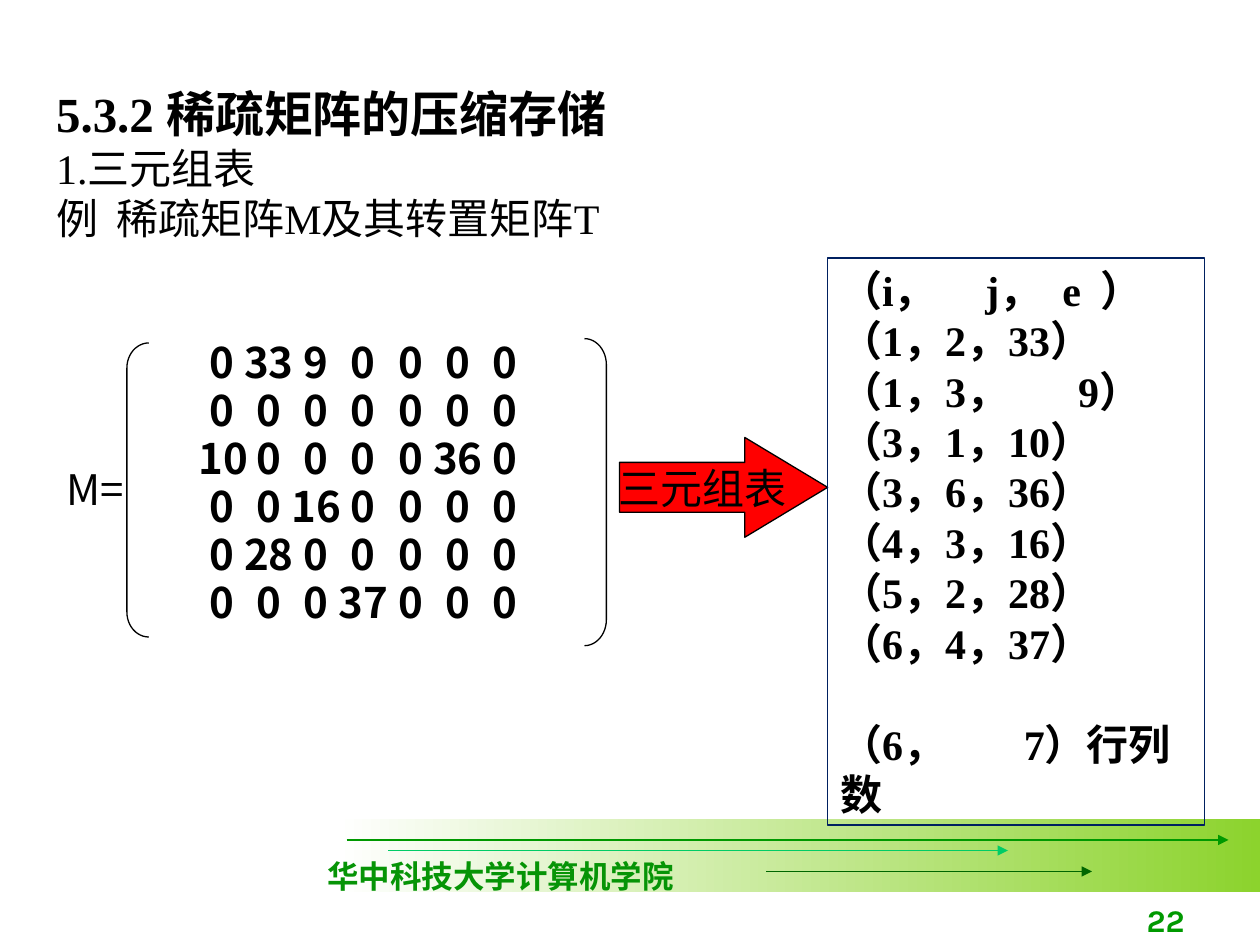
from dataclasses import dataclass
from typing import Any

from lxml import etree
from pptx import Presentation
from pptx import util as u
from pptx.dml.color import RGBColor
from pptx.enum import shapes, text
from pptx.oxml.ns import qn

BLACK = RGBColor(0, 0, 0)
WHITE = RGBColor(255, 255, 255)
RED = RGBColor(255, 0, 0)
NAVY = RGBColor(0x00, 0x20, 0x60)
LIME = RGBColor(0x8C, 0xD3, 0x2D)
GREEN = RGBColor(0x00, 0x99, 0x00)
MINT = RGBColor(0x00, 0xCC, 0x66)
FOREST = RGBColor(0x00, 0x66, 0x00)
SCHOOL_GREEN = RGBColor(0x06, 0x94, 0x06)

SERIF = "Times New Roman"
SANS = "Noto Sans CJK SC"
DISPLAY = "Karla"

MATRIX = [
    [0, 33, 9, 0, 0, 0, 0],
    [0, 0, 0, 0, 0, 0, 0],
    [10, 0, 0, 0, 0, 36, 0],
    [0, 0, 16, 0, 0, 0, 0],
    [0, 28, 0, 0, 0, 0, 0],
    [0, 0, 0, 37, 0, 0, 0],
]
MATRIX_STOPS = [(13 + 27 * column, "ctr") for column in range(7)]


def write(frame, content, size=24, font=SERIF, color=BLACK, bold=False,
          align=text.PP_ALIGN.LEFT, stops=(), spacing=None, before=None):
    first = frame.paragraphs[0]
    para = frame.add_paragraph() if first.runs else first
    para.alignment = align
    if spacing:
        para.line_spacing = spacing
    if before:
        para.space_before = u.Pt(before)
    if stops:
        tabs = etree.SubElement(para._p.get_or_add_pPr(), qn("a:tabLst"))
        for position, kind in stops:
            etree.SubElement(tabs, qn("a:tab"), pos=str(u.Pt(position)), algn=kind)
    span = para.add_run()
    span.text = content
    span.font.size = u.Pt(size)
    span.font.bold = bold
    span.font.name = font
    span.font.color.rgb = color
    etree.SubElement(span.font._element, qn("a:ea"), typeface=SANS)


@dataclass
class Painter:
    slide: Any
    line_width: float = 0.75

    def box(self, left, top, width, height, wrap=True):
        frame = self.slide.shapes.add_textbox(
            u.Pt(left), u.Pt(top), u.Pt(width), u.Pt(height)).text_frame
        frame.word_wrap = wrap
        return frame

    def shape(self, kind, left, top, width, height, fill=None, line=None, adjust=()):
        shape = self.slide.shapes.add_shape(
            kind, u.Pt(left), u.Pt(top), u.Pt(width), u.Pt(height))
        shape.shadow.inherit = False
        for index, value in enumerate(adjust):
            shape.adjustments[index] = value
        if fill is None:
            shape.fill.background()
        else:
            shape.fill.solid()
            shape.fill.fore_color.rgb = fill
        if line is None:
            shape.line.fill.background()
        else:
            shape.line.color.rgb = line
            shape.line.width = u.Pt(self.line_width)
        return shape

    def band(self, left, top, width, height, start, end):
        fill = self.shape(shapes.MSO_SHAPE.RECTANGLE, left, top, width, height).fill
        fill.gradient()
        fill.gradient_angle = 0
        for stop, color, position in zip(fill.gradient_stops, (start, end), (0, 1)):
            stop.color.rgb = color
            stop.position = position

    def arrow(self, left, right, level, color):
        line = self.slide.shapes.add_connector(
            shapes.MSO_CONNECTOR.STRAIGHT,
            u.Pt(left), u.Pt(level), u.Pt(right), u.Pt(level))
        line.line.color.rgb = color
        line.line.width = u.Pt(self.line_width)
        etree.SubElement(line.line._get_or_add_ln(), qn("a:tailEnd"), type="triangle")
        etree.SubElement(line._element.spPr, qn("a:effectLst"))


def draw_footer(painter):
    painter.band(192, 468, 528, 42, WHITE, LIME)
    painter.arrow(198, 702, 480, GREEN)
    painter.arrow(222, 576, 486, MINT)
    painter.arrow(438, 624, 498, FOREST)
    write(painter.box(180, 486, 212.5, 29, wrap=False), "华中科技大学计算机学院",
          size=18, color=SCHOOL_GREEN, bold=True)
    number = painter.box(534, 504, 150, 36)
    number.vertical_anchor = text.MSO_ANCHOR.BOTTOM
    write(number, "22", size=18, font=DISPLAY, color=GREEN, bold=True,
          align=text.PP_ALIGN.RIGHT)


def draw_heading(painter):
    heading = painter.box(25, 44, 368.5, 98.5)
    write(heading, "5.3.2 稀疏矩阵的压缩存储", size=28, bold=True)
    write(heading, "1.三元组表")
    write(heading, "例\t稀疏矩阵M及其转置矩阵T", stops=[(34.5, "l")])


def draw_matrix(painter):
    grid = painter.box(106.5, 191, 206.5, 171)
    for row in MATRIX:
        write(grid, "".join(f"\t{value}" for value in row), font=SANS, bold=True,
              stops=MATRIX_STOPS, spacing=0.95)
    painter.shape(shapes.MSO_SHAPE.LEFT_BRACKET, 72.5, 196, 12.5, 168,
                  line=BLACK, adjust=[1.14])
    painter.shape(shapes.MSO_SHAPE.RIGHT_BRACKET, 334, 193.5, 12.5, 175.5,
                  line=BLACK, adjust=[1.2])
    write(painter.box(31, 261.5, 50, 36, wrap=False), "M=", font=SANS)


def draw_triples(painter):
    arrow = painter.shape(shapes.MSO_SHAPE.RIGHT_ARROW, 354, 250, 119, 57,
                          fill=RED, line=BLACK, adjust=[0.5, 0.83])
    arrow.text_frame.word_wrap = False
    write(arrow.text_frame, "三元组表", font=DISPLAY, align=text.PP_ALIGN.CENTER)

    frame = painter.shape(shapes.MSO_SHAPE.RECTANGLE, 473, 147.5, 215.5, 324,
                          line=NAVY).text_frame
    frame.word_wrap = True
    frame.vertical_anchor = text.MSO_ANCHOR.TOP
    write(frame, "（i，\tj，\te\t）", bold=True,
          stops=[(83, "l"), (127, "l"), (149, "l")])
    for row, values in enumerate(MATRIX, 1):
        for column, value in enumerate(values, 1):
            if value:
                gap = "\t" if value < 10 else ""
                write(frame, f"（{row}，{column}，{gap}{value}）", bold=True,
                      stops=[(136, "l")] if gap else ())
    write(frame, f"（{len(MATRIX)}，\t{len(MATRIX[0])}）行列数", bold=True,
          stops=[(105, "l")], before=29)


def main():
    deck = Presentation()
    deck.slide_width, deck.slide_height = u.Pt(720), u.Pt(540)
    page = deck.slides.add_slide(deck.slide_layouts[6])
    painter = Painter(page)
    draw_footer(painter)
    draw_matrix(painter)
    draw_heading(painter)
    draw_triples(painter)
    deck.save("out.pptx")


if __name__ == "__main__":
    main()
